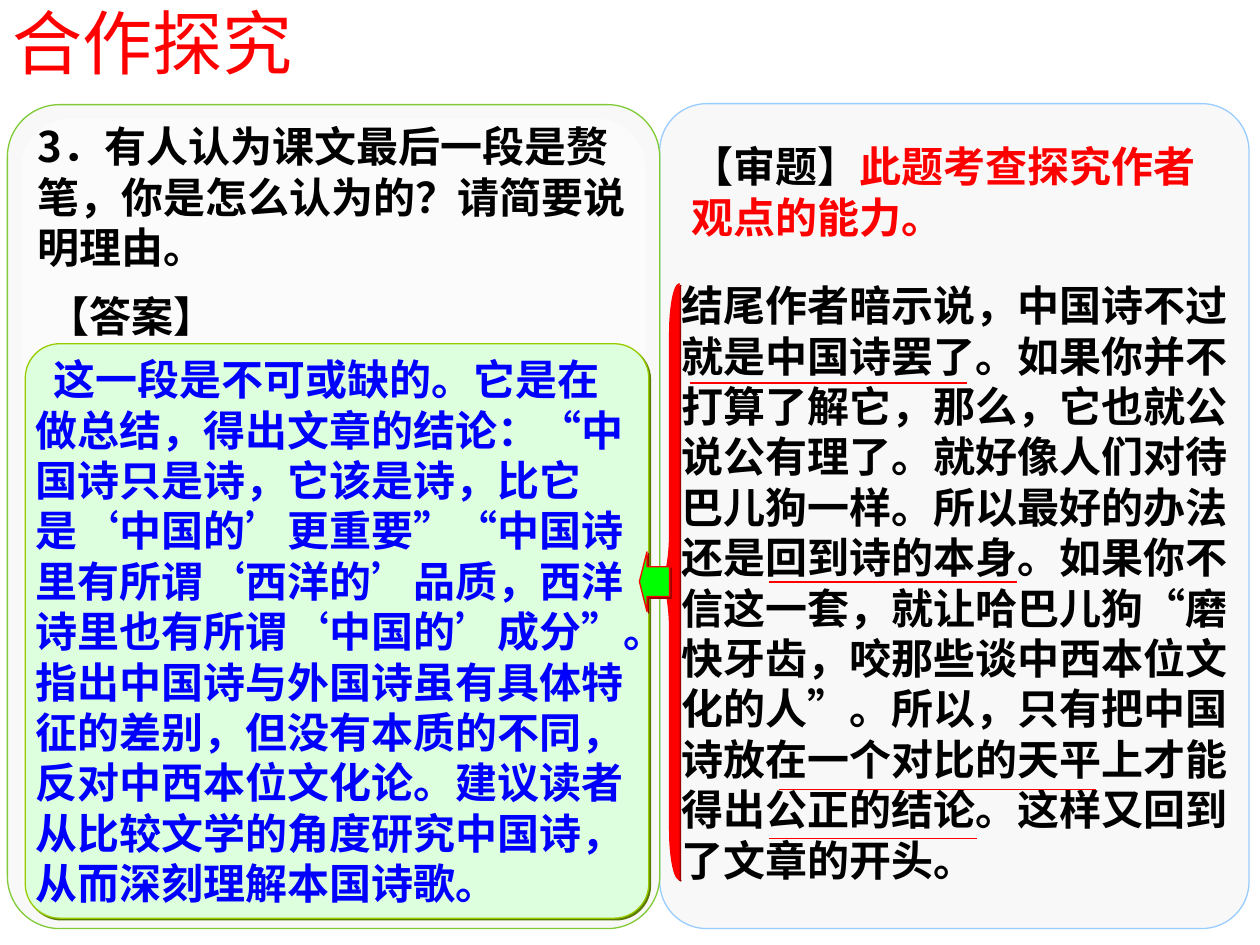
from lxml import etree
from pptx import Presentation
from pptx.dml.color import RGBColor
from pptx.enum.shapes import MSO_CONNECTOR, MSO_SHAPE
from pptx.enum.text import MSO_ANCHOR, PP_ALIGN
from pptx.oxml.ns import qn
from pptx.util import Cm, Pt

ROUND = MSO_SHAPE.ROUNDED_RECTANGLE
BRACE = MSO_SHAPE.LEFT_BRACE
ARROW = MSO_SHAPE.LEFT_ARROW
LINE = MSO_CONNECTOR.STRAIGHT
MIDDLE, TOP = MSO_ANCHOR.MIDDLE, MSO_ANCHOR.TOP
LEFT = PP_ALIGN.LEFT
CJK, LATIN = "Noto Sans CJK SC", "Arial"
HEX = {
    "red": "FF0000", "black": "000000", "blue": "0000FF", "white": "FFFFFF",
    "panel": "F8F8F8", "sky": "99CCFF", "leaf": "80CB35", "mint": "DDFFDD",
    "olive": "99CC00", "moss": "5C7A00", "wine": "990000", "green": "00FF00",
    "grey": "808080",
}
ASK = "3．有人认为课文最后一段是赘笔，你是怎么认为的？请简要说明理由。"
REPLY = (
    "这一段是不可或缺的。它是在做总结，得出文章的结论：“中国诗只是诗，它该是诗，"
    "比它是‘中国的’更重要”“中国诗里有所谓‘西洋的’品质，西洋诗里也有所谓‘中国的’成分”。"
    "指出中国诗与外国诗虽有具体特征的差别，但没有本质的不同，反对中西本位文化论。"
    "建议读者从比较文学的角度研究中国诗，从而深刻理解本国诗歌。"
)
NOTE = (
    "结尾作者暗示说，中国诗不过就是中国诗罢了。如果你并不打算了解它，那么，它也就公说公有理了。"
    "就好像人们对待巴儿狗一样。所以最好的办法还是回到诗的本身。如果你不信这一套，"
    "就让哈巴儿狗“磨快牙齿，咬那些谈中西本位文化的人”。所以，只有把中国诗放在一个对比的天平上"
    "才能得出公正的结论。这样又回到了文章的开头。"
)


def color(name):
    return RGBColor.from_string(HEX[name])


def add_shadow(props, name):
    """Put a hard shadow, down and to the right, on a shape or a run."""
    effects = props.find(qn("a:effectLst"))
    if effects is None:
        effects = etree.SubElement(props, qn("a:effectLst"))
    outer = etree.SubElement(effects, qn("a:outerShdw"), blurRad="0",
                             dist=str(Pt(1.4)), dir="2700000", algn="ctr")
    etree.SubElement(outer, qn("a:srgbClr"), val=HEX[name])


def add_shape(slide, kind, box, fill, line=None, shade=None, adj=()):
    shape = slide.shapes.add_shape(kind, *[Cm(n) for n in box])
    for i, value in enumerate(adj):
        shape.adjustments[i] = value
    shape.shadow.inherit = False
    shape.fill.solid()
    shape.fill.fore_color.rgb = color(fill)
    if line:
        shape.line.color.rgb = color(line)
        shape.line.width = Pt(0.75)
    else:
        shape.line.fill.background()
    if shade:
        add_shadow(shape._element.spPr, shade)
    return shape


def write(shape, runs, size=24, font=CJK, bold=True, anchor=MIDDLE,
          pad=(0.25, 0.13), indent=0, shade=True, wrap=True):
    frame = shape.text_frame
    frame.word_wrap = wrap
    frame.vertical_anchor = anchor
    frame.margin_left = frame.margin_right = Cm(pad[0])
    frame.margin_top = frame.margin_bottom = Cm(pad[1])
    para = frame.paragraphs[0]
    para.alignment = LEFT
    para.line_spacing = Pt(size * 1.2)
    if indent:
        para._p.get_or_add_pPr().set("indent", str(Cm(indent)))
    for text, name in runs:
        run = para.add_run()
        run.text = text
        run.font.size = Pt(size)
        run.font.bold = bold
        run.font.color.rgb = color(name)
        props = run._r.get_or_add_rPr()
        props.set("lang", "zh-CN")
        if shade:
            add_shadow(props, "grey")
        run.font.name = font
        etree.SubElement(props, qn("a:ea"), typeface=CJK)


def add_text(slide, box, runs, **style):
    write(slide.shapes.add_textbox(*[Cm(n) for n in box]), runs, **style)


def add_rule(slide, x, y, width):
    rule = slide.shapes.add_connector(LINE, Cm(x), Cm(y), Cm(x + width), Cm(y))
    rule.line.color.rgb = color("red")
    rule.line.width = Pt(0.75)
    etree.SubElement(rule._element.spPr, qn("a:effectLst"))


def add_title(slide, x, y, w, h):
    add_text(slide, (x, y, w, h), [("合作探究", "red")], size=40, bold=False)


def add_left(slide, x, y, w, h):
    # Panel with a paler inner sheet
    add_shape(slide, ROUND, (x, y, w, h), "panel", "leaf", adj=[0.08])
    gap = 0.28
    sheet = add_shape(slide, ROUND, (x + gap, y + gap, w - 2 * gap, h - 0.43),
                      "white", adj=[0.08])
    tint = sheet._element.spPr.find(qn("a:solidFill"))[0]
    etree.SubElement(tint, qn("a:alpha"), val="50000")
    # Question, label and answer
    add_text(slide, (x + 0.36, y + 0.2, 12.6, 3.3), [(ASK, "black")])
    add_text(slide, (x + 0.56, y + 3.61, 3.89, 1.27), [("【答案】", "black")],
             font=LATIN, anchor=TOP, wrap=False)
    card = add_shape(slide, ROUND, (x + 0.36, y + 4.82, 12.57, 11.58),
                     "mint", "olive", "moss", [0.06])
    write(card, [(REPLY, "blue")], pad=(0, 0), indent=0.36, shade=False)


def add_right(slide, x, y, w, h):
    add_shape(slide, ROUND, (x, y, w, h), "panel", "sky", adj=[0.08])
    # Task and commentary
    add_text(slide, (x + 0.39, y + 0.62, 11, 2.29),
             [("【审题】", "black"), ("此题考查探究作者观点的能力。", "red")],
             font=LATIN, anchor=TOP)
    add_text(slide, (x + 0.18, y + 3.42, 11.58, 12.45), [(NOTE, "black")])
    # Underlines of the key phrases
    for left, top, width in ((0.6, 5.63, 5.6), (2.2, 9.64, 5),
                             (2.4, 13.83, 6.4), (2.2, 14.82, 4.2)):
        add_rule(slide, x + left, y + top, width)


def add_link(slide, x, y, w, h):
    """Brace around the commentary, with an arrow to the answer."""
    add_shape(slide, BRACE, (x, y, w, h), "red", "red", "wine",
              [h / 12 / w, 0.5])
    add_shape(slide, ARROW, (x - 0.41, y + h / 2 - 0.6, 0.61, 1.2),
              "green", "red", "wine", [0.5, 0.25])


def main():
    deck = Presentation()
    deck.slide_width, deck.slide_height = Cm(25.4), Cm(19.05)
    slide = deck.slides.add_slide(deck.slide_layouts[6])
    add_right(slide, 13.3, 2.09, 11.88, 16.63)
    add_left(slide, 0.15, 2.11, 13.15, 16.61)
    add_title(slide, 0, -0.15, 8.51, 1.96)
    add_link(slide, 13.3, 5.72, 0.4, 12.01)
    deck.save("out.pptx")


if __name__ == "__main__":
    main()
